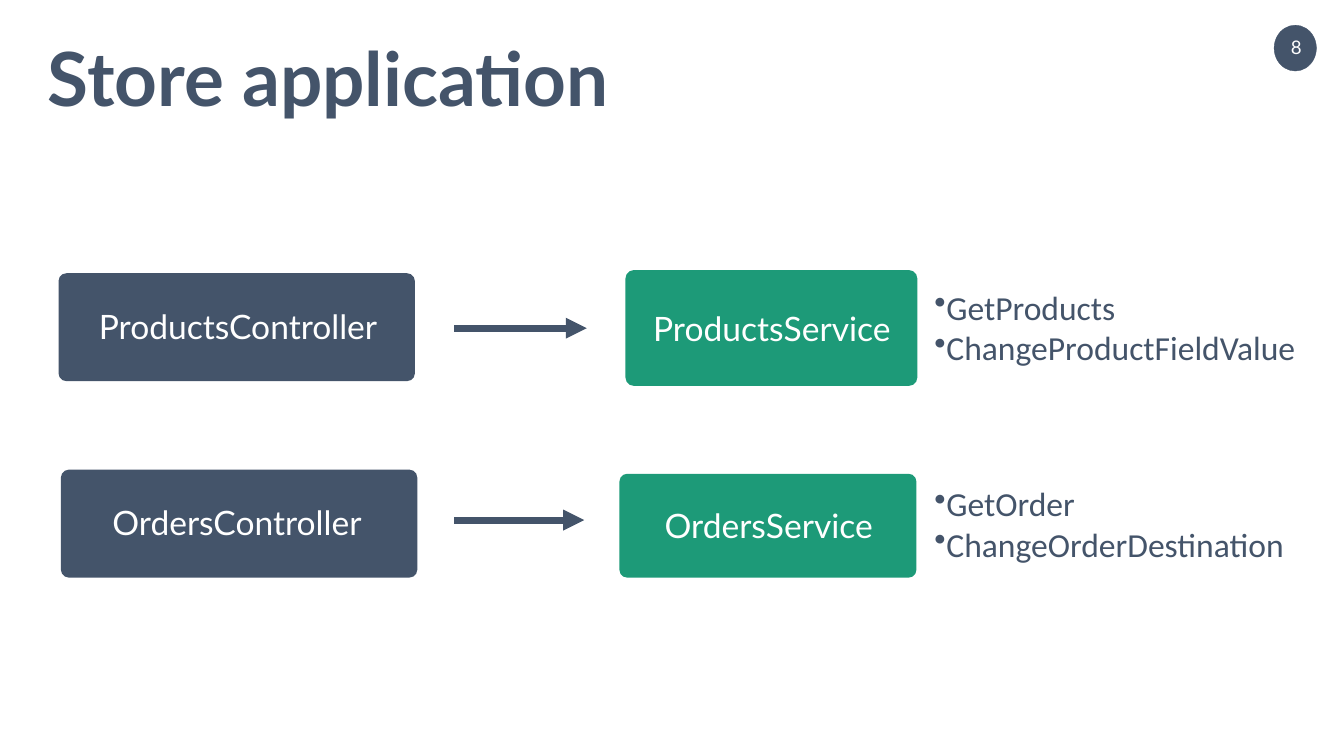
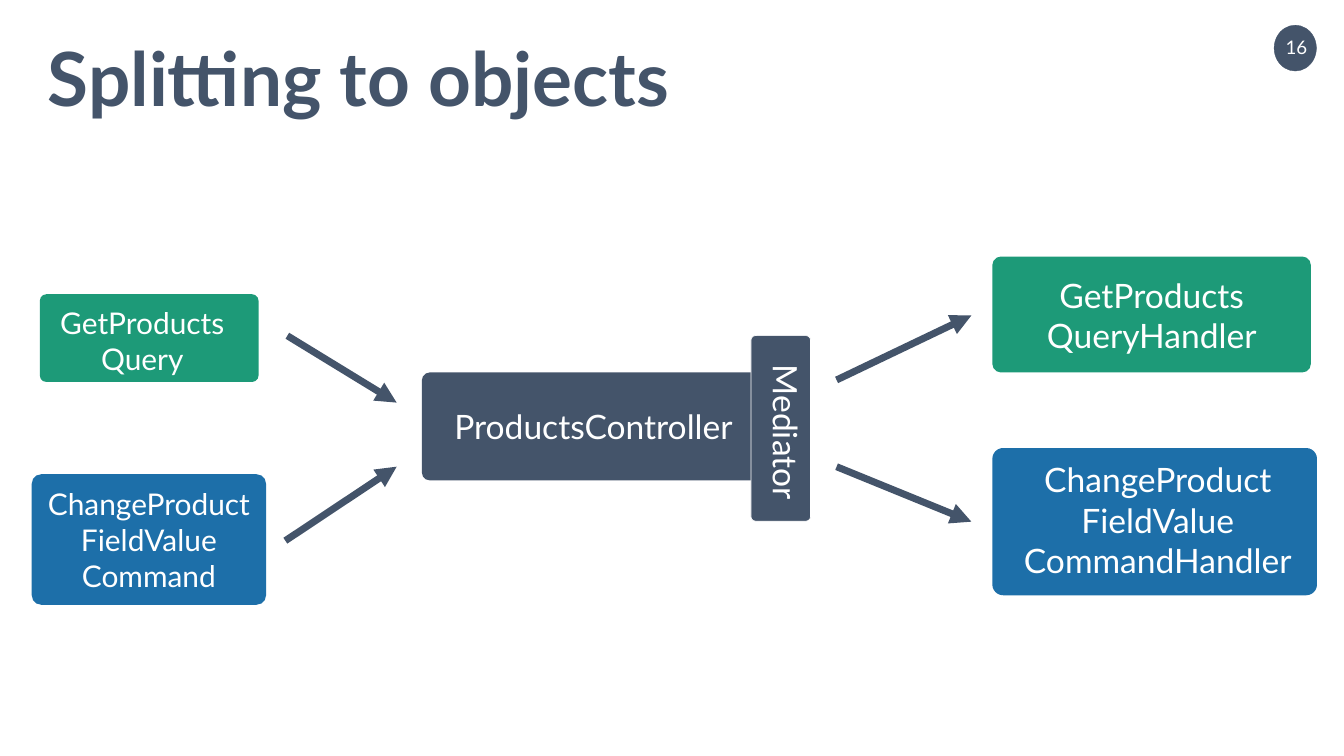
from lxml import etree
from pptx import Presentation
from pptx.dml.color import RGBColor
from pptx.enum.shapes import MSO_CONNECTOR, MSO_SHAPE
from pptx.enum.text import MSO_AUTO_SIZE, PP_ALIGN
from pptx.oxml.ns import qn
from pptx.util import Cm, Pt

ROUNDED = MSO_SHAPE.ROUNDED_RECTANGLE
OVAL = MSO_SHAPE.OVAL
STRAIGHT = MSO_CONNECTOR.STRAIGHT
CENTER = PP_ALIGN.CENTER
LEFT = PP_ALIGN.LEFT
GROW = MSO_AUTO_SIZE.SHAPE_TO_FIT_TEXT

NAVY = "44546A"
GREEN = "1D9A78"
BLUE = "1D6FA9"
WHITE = "FFFFFF"
HEADING_FONT = "Lato"
LIST_FONT = "Calibri"
LARGE = 48
SMALL = 42.7
CORNER = 0.073


def color(hex_string):
    return RGBColor.from_string(hex_string)


class Deck:
    """Holds the shared style and the slide being filled; lengths are in centimetres."""

    def __init__(self):
        self.presentation = Presentation()
        self.presentation.slide_width = Cm(67.73)
        self.presentation.slide_height = Cm(38.1)
        self.slide = None

    def new_slide(self, title, number):
        layout = self.presentation.slide_layouts[6]
        self.slide = self.presentation.slides.add_slide(layout)
        self.shape(OVAL, (64.21, 1.27, 2.13, 2.31), NAVY, NAVY, 0.5)
        self.text((64.21, 1.7, 2.24, 1.4), [number], 26.7, align=CENTER)
        heading = self.text((2.16, 1.5, 62, 4.83), [title], 106.7, NAVY, bold=True)
        heading.text_frame.paragraphs[0].space_after = Pt(56)

    def shape(self, kind, box, fill, line=None, line_width=1):
        shape = self.slide.shapes.add_shape(kind, *map(Cm, box))
        shape.shadow.inherit = False
        shape.fill.solid()
        shape.fill.fore_color.rgb = color(fill)
        if line:
            shape.line.color.rgb = color(line)
            shape.line.width = Pt(line_width)
        else:
            shape.line.fill.background()
        return shape

    def text(self, box, paragraphs, size, text_color=WHITE, font=HEADING_FONT,
             align=LEFT, bold=False, bullets=False):
        """Add a text box; a newline inside a paragraph becomes a line break."""
        shape = self.slide.shapes.add_textbox(*map(Cm, box))
        frame = shape.text_frame
        frame.word_wrap = True
        frame.auto_size = GROW
        for index, content in enumerate(paragraphs):
            paragraph = frame.add_paragraph() if index else frame.paragraphs[0]
            paragraph.alignment = align
            if bullets:
                self.add_bullet(paragraph)
            for line_index, line in enumerate(content.split("\n")):
                if line_index:
                    paragraph.add_line_break()
                run = paragraph.add_run()
                run.text = line
                run.font.name = font
                run.font.size = Pt(size)
                run.font.bold = bold
                run.font.color.rgb = color(text_color)
        return shape

    @staticmethod
    def add_bullet(paragraph):
        properties = paragraph._p.get_or_add_pPr()
        properties.set("marL", "0")
        properties.set("indent", str(-Cm(0.66)))
        etree.SubElement(properties, qn("a:buChar"), char="•")

    def card(self, box, fill, label_box, paragraphs, size=LARGE, line=None, rotation=0):
        """Add a rounded box and the centred label that lies on it."""
        shape = self.shape(ROUNDED, box, fill, line)
        shape.adjustments[0] = CORNER
        label = self.text(label_box, paragraphs, size, align=CENTER)
        frame = label.text_frame
        frame.word_wrap = False
        frame.margin_left = frame.margin_right = Cm(0.51)
        frame.margin_top = frame.margin_bottom = Cm(0.25)
        shape.rotation = label.rotation = rotation

    def methods(self, box, names):
        self.text(box, names, LARGE, NAVY, LIST_FONT, bullets=True)

    def arrow(self, start, end):
        connector = self.slide.shapes.add_connector(STRAIGHT, *map(Cm, start + end))
        connector.line.color.rgb = color(NAVY)
        connector.line.width = Pt(10)
        etree.SubElement(connector.line._get_or_add_ln(), qn("a:tailEnd"), type="triangle")
        etree.SubElement(connector._element.spPr, qn("a:effectLst"))


def add_store_application(deck):
    deck.new_slide("Store application", "8")
    deck.card((2.95, 13.77, 17.96, 5.44), NAVY,
              (3.76, 15.19, 16.48, 2.57), ["ProductsController"])
    deck.arrow((22.89, 16.54), (29.57, 16.54))
    deck.card((31.52, 13.61, 14.71, 5.84), GREEN,
              (31.57, 15.29, 14.66, 2.57), ["ProductsService"])
    deck.methods((46.84, 14.33, 19.99, 4.37), ["GetProducts", "ChangeProductFieldValue"])

    deck.card((3.07, 23.67, 17.96, 5.44), NAVY,
              (4.45, 25.07, 14.99, 2.57), ["OrdersController"])
    deck.arrow((22.89, 26.21), (29.44, 26.21))
    deck.card((31.22, 23.88, 14.96, 5.23), GREEN,
              (31.29, 25.2, 14.91, 2.57), ["OrdersService"])
    deck.methods((46.84, 24.23, 18.97, 4.37), ["GetOrder", "ChangeOrderDestination"])


def add_splitting_to_objects(deck):
    deck.new_slide("Splitting to objects", "16")
    deck.card((21.26, 18.77, 16.99, 5.44), NAVY,
              (22.1, 20.19, 15.62, 2.57), ["ProductsController"])
    deck.card((50.01, 12.93, 16.05, 5.84), GREEN,
              (52.1, 13.59, 11.89, 4.62), ["GetProducts\nQueryHandler"])
    deck.card((50.01, 22.58, 16.36, 7.42), BLUE,
              (50.93, 22.89, 14.83, 6.68), ["ChangeProduct\nFieldValue\nCommandHandler"])
    deck.card((34.67, 20.09, 9.35, 3), NAVY,
              (35.59, 20.5, 8.03, 2.57), ["Mediator"], line=WHITE, rotation=90)
    deck.card((2.01, 14.83, 11.02, 4.42), GREEN,
              (1.6, 15.09, 11.15, 4.17), ["GetProducts", "Query"], SMALL)
    deck.card((1.6, 23.9, 11.81, 6.58), BLUE,
              (1.6, 24.23, 11.81, 5.99), ["ChangeProduct\nFieldValue", "Command"], SMALL)
    for start, end in (
        ((14.48, 16.92), (19.99, 20.29)),
        ((14.38, 27.25), (19.99, 23.52)),
        ((42.16, 19.15), (48.95, 15.9)),
        ((42.16, 23.52), (48.95, 26.29)),
    ):
        deck.arrow(start, end)


def main():
    deck = Deck()
    add_store_application(deck)
    add_splitting_to_objects(deck)
    deck.presentation.save("out.pptx")


if __name__ == "__main__":
    main()
